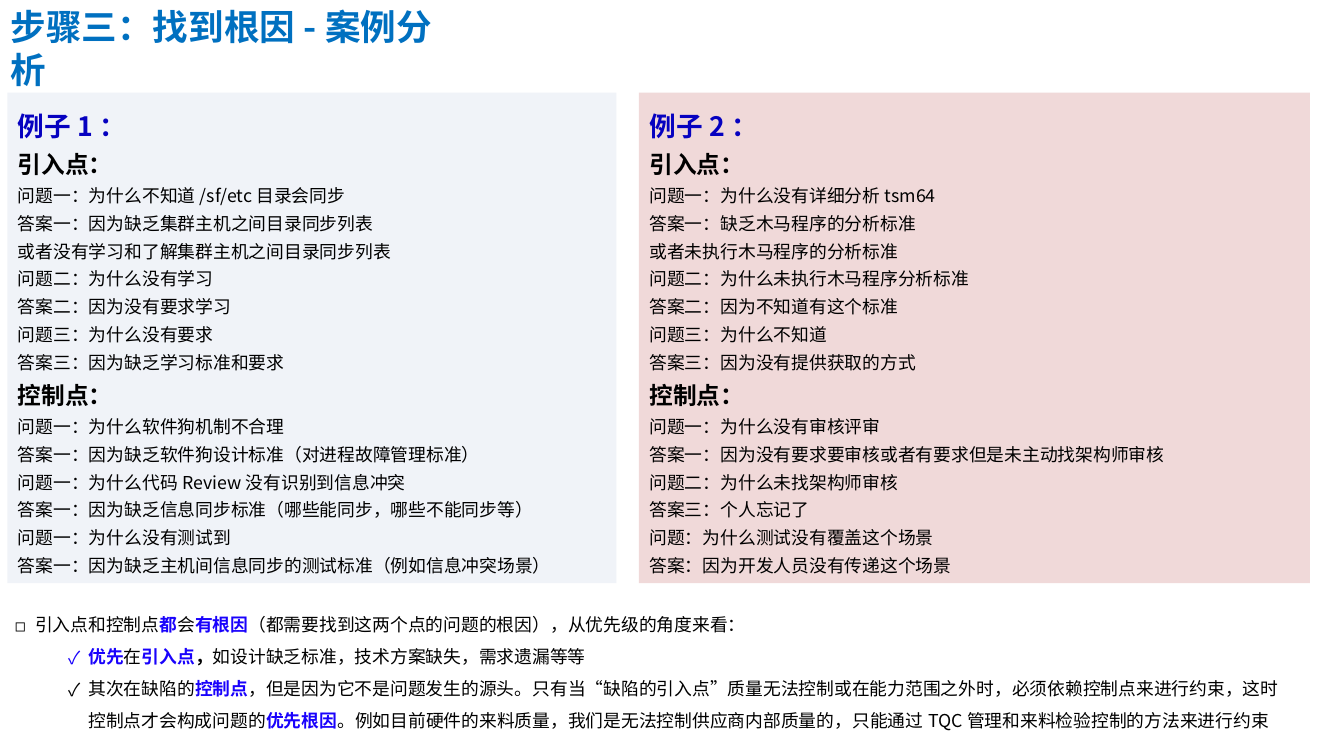
from lxml.etree import SubElement
from pptx import Presentation
from pptx.dml.color import RGBColor
from pptx.enum.shapes import MSO_SHAPE as Shape
from pptx.enum.text import MSO_ANCHOR as Anchor, MSO_AUTO_SIZE as AutoSize, PP_ALIGN as Align
from pptx.oxml.ns import qn
from pptx.util import Inches, Pt

FONT = "Noto Sans CJK SC"
BLACK = "000000"
TITLE_BLUE = "0070C0"
HEADING_BLUE = "0601C0"
KEY_BLUE = "1902FC"

PLAIN = (BLACK, False)
STRONG = (BLACK, True)
KEY = (KEY_BLUE, True)

EXAMPLE_1 = (
    "例子1：",
    [
        ("引入点：", [
            "问题一：为什么不知道/sf/etc目录会同步",
            "答案一：因为缺乏集群主机之间目录同步列表",
            "或者没有学习和了解集群主机之间目录同步列表",
            "问题二：为什么没有学习",
            "答案二：因为没有要求学习",
            "问题三：为什么没有要求",
            "答案三：因为缺乏学习标准和要求",
        ]),
        ("控制点：", [
            "问题一：为什么软件狗机制不合理",
            "答案一：因为缺乏软件狗设计标准（对进程故障管理标准）",
            "问题一：为什么代码Review没有识别到信息冲突",
            "答案一：因为缺乏信息同步标准（哪些能同步，哪些不能同步等）",
            "问题一：为什么没有测试到",
            "答案一：因为缺乏主机间信息同步的测试标准（例如信息冲突场景）",
        ]),
    ],
)

EXAMPLE_2 = (
    "例子2：",
    [
        ("引入点：", [
            "问题一：为什么没有详细分析tsm64",
            "答案一：缺乏木马程序的分析标准",
            "或者未执行木马程序的分析标准",
            "问题二：为什么未执行木马程序分析标准",
            "答案二：因为不知道有这个标准",
            "问题三：为什么不知道",
            "答案三：因为没有提供获取的方式",
        ]),
        ("控制点：", [
            "问题一：为什么没有审核评审",
            "答案一：因为没有要求要审核或者有要求但是未主动找架构师审核",
            "问题二：为什么未找架构师审核",
            "答案三：个人忘记了",
            "问题：为什么测试没有覆盖这个场景",
            "答案：因为开发人员没有传递这个场景",
        ]),
    ],
)

CONCLUSIONS = [
    (0, "◻", [
        ("引入点和控制点", PLAIN),
        ("都", KEY),
        ("会", PLAIN),
        ("有根因", KEY),
        ("（都需要找到这两个点的问题的根因），从优先级的角度来看：", PLAIN),
    ]),
    (1, "✓", [
        ("优先", KEY),
        ("在", PLAIN),
        ("引入点", KEY),
        ("，", STRONG),
        ("如设计缺乏标准，技术方案缺失，需求遗漏等等", PLAIN),
    ]),
    (1, "✓", [
        ("其次在缺陷的", PLAIN),
        ("控制点", KEY),
        ("，但是因为它不是问题发生的源头。只有当“缺陷的引入点”质量无法控制或在能力范围之外时，"
         "必须依赖控制点来进行约束，这时控制点才会构成问题的", PLAIN),
        ("优先根因", KEY),
        ("。例如目前硬件的来料质量，我们是无法控制供应商内部质量的，"
         "只能通过TQC管理和来料检验控制的方法来进行约束", PLAIN),
    ]),
]


def rgb(value):
    return RGBColor.from_string(value)


def place(part, box):
    part.left, part.top, part.width, part.height = (Inches(v) for v in box)


def format_paragraph(paragraph, size, color=BLACK, bold=False, spacing=None):
    paragraph.alignment = Align.LEFT
    paragraph.line_spacing = spacing
    font = paragraph.font
    font.name = FONT
    font.size = Pt(size)
    font.bold = bold
    font.color.rgb = rgb(color)
    defaults = paragraph._p.pPr.find(qn("a:defRPr"))
    SubElement(defaults, qn("a:ea")).set("typeface", FONT)


def next_paragraph(frame, index):
    return frame.add_paragraph() if index else frame.paragraphs[0]


def add_bullet(paragraph, level, mark):
    paragraph.level = level
    properties = paragraph._p.get_or_add_pPr()
    properties.set("marL", str(Inches(0.19 + 0.5 * level)))
    properties.set("indent", str(Inches(-0.19)))
    SubElement(properties, qn("a:buFont")).set("typeface", FONT)
    SubElement(properties, qn("a:buChar")).set("char", mark)


def add_title(slide, box):
    title = slide.shapes.title
    place(title, box)
    frame = title.text_frame
    frame.text = "步骤三：找到根因-案例分析"
    frame.word_wrap = True
    frame.auto_size = AutoSize.NONE
    frame.vertical_anchor = Anchor.TOP
    format_paragraph(frame.paragraphs[0], 24, TITLE_BLUE, True)


def add_example(slide, box, fill, example):
    panel = slide.shapes.add_shape(Shape.RECTANGLE, *(Inches(v) for v in box))
    panel.shadow.inherit = False
    panel.fill.solid()
    panel.fill.fore_color.rgb = rgb(fill)
    panel.line.fill.background()
    frame = panel.text_frame
    frame.word_wrap = True
    frame.vertical_anchor = Anchor.MIDDLE

    heading, points = example
    lines = [(heading, 18, HEADING_BLUE, True)]
    for point, reasons in points:
        lines.append((point, 16, BLACK, True))
        lines += [(reason, 12, BLACK, False) for reason in reasons]
    for index, (text, size, color, bold) in enumerate(lines):
        paragraph = next_paragraph(frame, index)
        paragraph.text = text
        format_paragraph(paragraph, size, color, bold, 1.3)


def add_conclusions(slide, box):
    frame = slide.shapes.add_textbox(*(Inches(v) for v in box)).text_frame
    frame.word_wrap = True
    for index, (level, mark, phrases) in enumerate(CONCLUSIONS):
        paragraph = next_paragraph(frame, index)
        paragraph.line_spacing = 1.5
        add_bullet(paragraph, level, mark)
        format_paragraph(paragraph, 12, spacing=1.5)
        for text, (color, bold) in phrases:
            run = paragraph.add_run()
            run.text = text
            run.font.bold = bold
            run.font.color.rgb = rgb(color)


def main():
    deck = Presentation()
    deck.slide_width, deck.slide_height = Inches(12.6), Inches(7.09)
    slide = deck.slides.add_slide(deck.slide_layouts[5])
    add_title(slide, (0, 0, 4.35, 0.5))
    add_conclusions(slide, (0.04, 5.61, 12.21, 1.31))
    add_example(slide, (0.07, 0.87, 5.71, 4.6), "F0F3F8", EXAMPLE_1)
    add_example(slide, (5.99, 0.87, 6.29, 4.6), "F0D9D9", EXAMPLE_2)
    deck.save("out.pptx")


if __name__ == "__main__":
    main()
